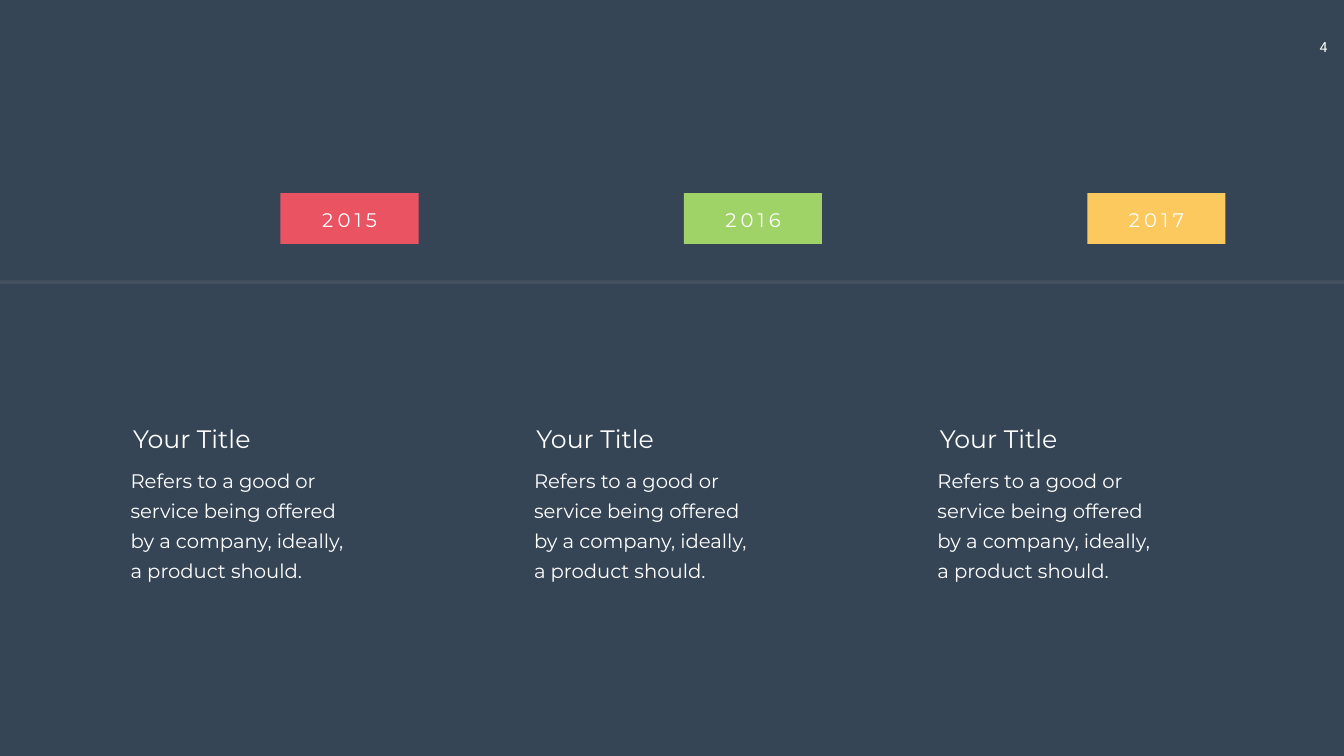
"""Build a timeline slide with three coloured year tags above three text columns."""
from lxml import etree
from pptx import Presentation
from pptx.dml.color import RGBColor
from pptx.enum import shapes, text
from pptx.oxml import ns
from pptx.util import Pt

NAVY = RGBColor(0x36, 0x45, 0x56)
WHITE = RGBColor(0xFF, 0xFF, 0xFF)
GRAY = RGBColor(0x80, 0x80, 0x80)
RED = RGBColor(0xE9, 0x53, 0x62)
GREEN = RGBColor(0x9F, 0xD3, 0x68)
YELLOW = RGBColor(0xFB, 0xC9, 0x5E)

BLURB = "Refers to a good or service being offered by a company, ideally, a product should."
COLUMNS = [
    ("2015", RED, "Your Title", BLURB),
    ("2016", GREEN, "Your Title", BLURB),
    ("2017", YELLOW, "Your Title", BLURB),
]
PAGE_NUMBER = "4"

PAGE_WIDTH, PAGE_HEIGHT = 1919.52, 1080
LINE_TOP = 403.2
FIRST_LEFT, PITCH = 169.2, 576.2
TITLE_OFFSET, TAG_OFFSET, YEAR_OFFSET = 13.7, 231.3, 254.9


def add_text(parent, words, place, size, font="Montserrat", margins=(7.2, 3.6), align=None):
    box = parent.add_textbox(*map(Pt, place))
    frame = box.text_frame
    frame.word_wrap = True
    frame.auto_size = text.MSO_AUTO_SIZE.SHAPE_TO_FIT_TEXT
    frame.margin_left = frame.margin_right = Pt(margins[0])
    frame.margin_top = frame.margin_bottom = Pt(margins[1])
    para = frame.paragraphs[0]
    para.alignment = align
    span = para.add_run()
    span.text = words
    span.font.name = font
    span.font.size = Pt(size)
    span.font.color.rgb = WHITE
    return frame


def add_divider(page):
    line = page.shapes.add_connector(
        shapes.MSO_CONNECTOR.STRAIGHT, Pt(0), Pt(LINE_TOP), Pt(PAGE_WIDTH), Pt(LINE_TOP))
    line.line.width = Pt(5)
    line.line.color.rgb = GRAY
    properties = line._element.spPr
    color = properties.find(".//" + ns.qn("a:srgbClr"))
    etree.SubElement(color, ns.qn("a:alpha")).set("val", "20000")
    etree.SubElement(properties, ns.qn("a:effectLst"))


def add_column(page, left, year, color, title, blurb):
    group = page.shapes.add_group_shape()
    body = add_text(group.shapes, blurb, (left, 651.6, 346.3, 187.2), 28, margins=(17.28, 8.64))
    body.paragraphs[0].line_spacing = Pt(43)
    add_text(group.shapes, title, (left + TITLE_OFFSET, 600.5, 346.3, 51.1), 36)

    tag = page.shapes.add_shape(
        shapes.MSO_SHAPE.RECTANGLE, Pt(left + TAG_OFFSET), Pt(275.8), Pt(197.3), Pt(72.7))
    tag.shadow.inherit = False
    tag.fill.solid()
    tag.fill.fore_color.rgb = color
    tag.line.fill.background()
    label = add_text(page.shapes, year, (left + YEAR_OFFSET, 293.8, 150.5, 41), 28,
                     align=text.PP_ALIGN.CENTER)
    label.paragraphs[0].runs[0]._r.get_or_add_rPr().set("spc", "600")


def main():
    deck = Presentation()
    deck.slide_width, deck.slide_height = Pt(PAGE_WIDTH), Pt(PAGE_HEIGHT)
    page = deck.slides.add_slide(deck.slide_layouts[6])
    page.background.fill.solid()
    page.background.fill.fore_color.rgb = NAVY

    number = add_text(page.shapes, PAGE_NUMBER, (1857.4, 48.2, 65.5, 38.9), 20, "Roboto",
                      (14.4, 7.2), text.PP_ALIGN.CENTER)
    number.word_wrap = False
    add_divider(page)
    for index, column in enumerate(COLUMNS):
        add_column(page, FIRST_LEFT + index * PITCH, *column)
    deck.save("out.pptx")


if __name__ == "__main__":
    main()
